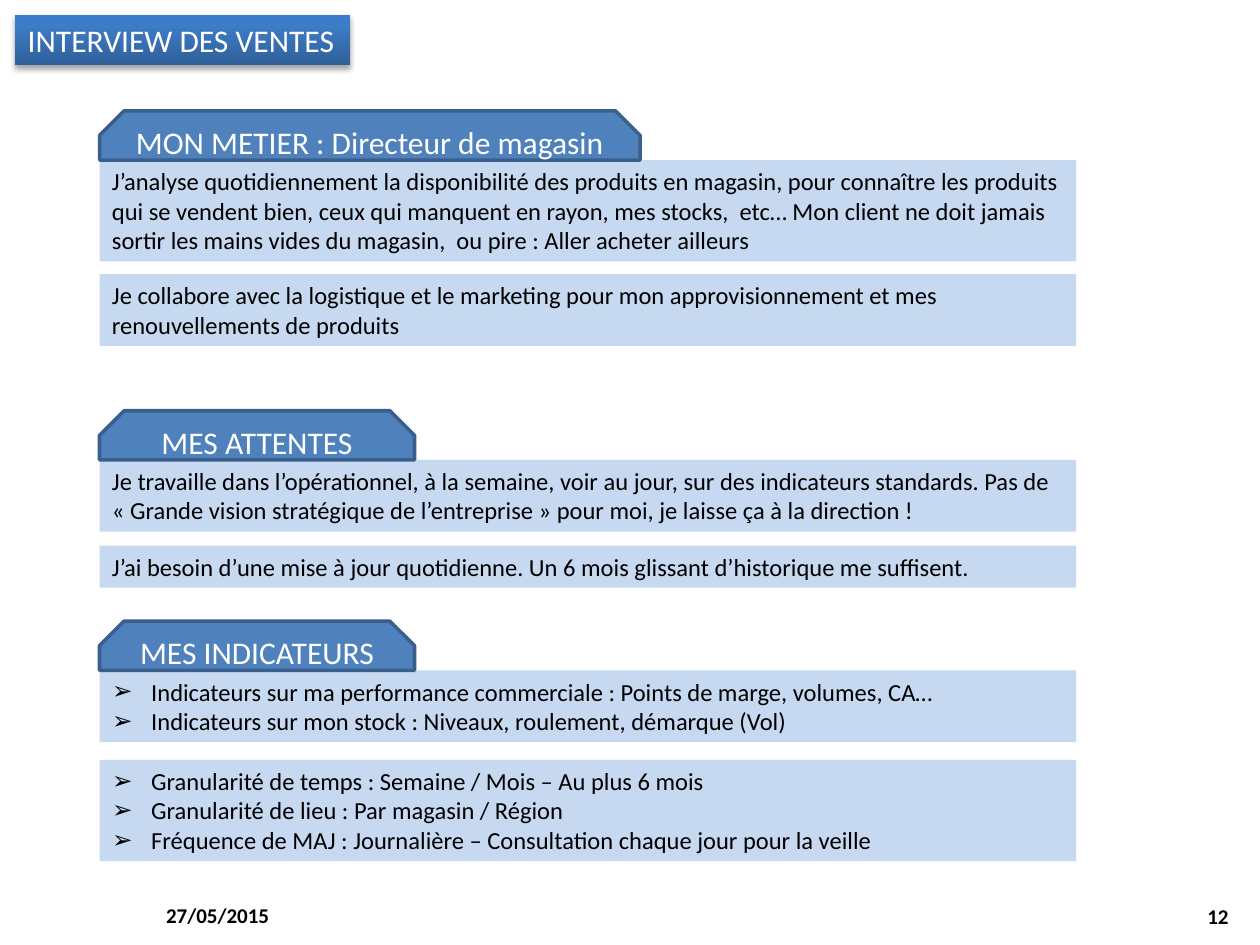
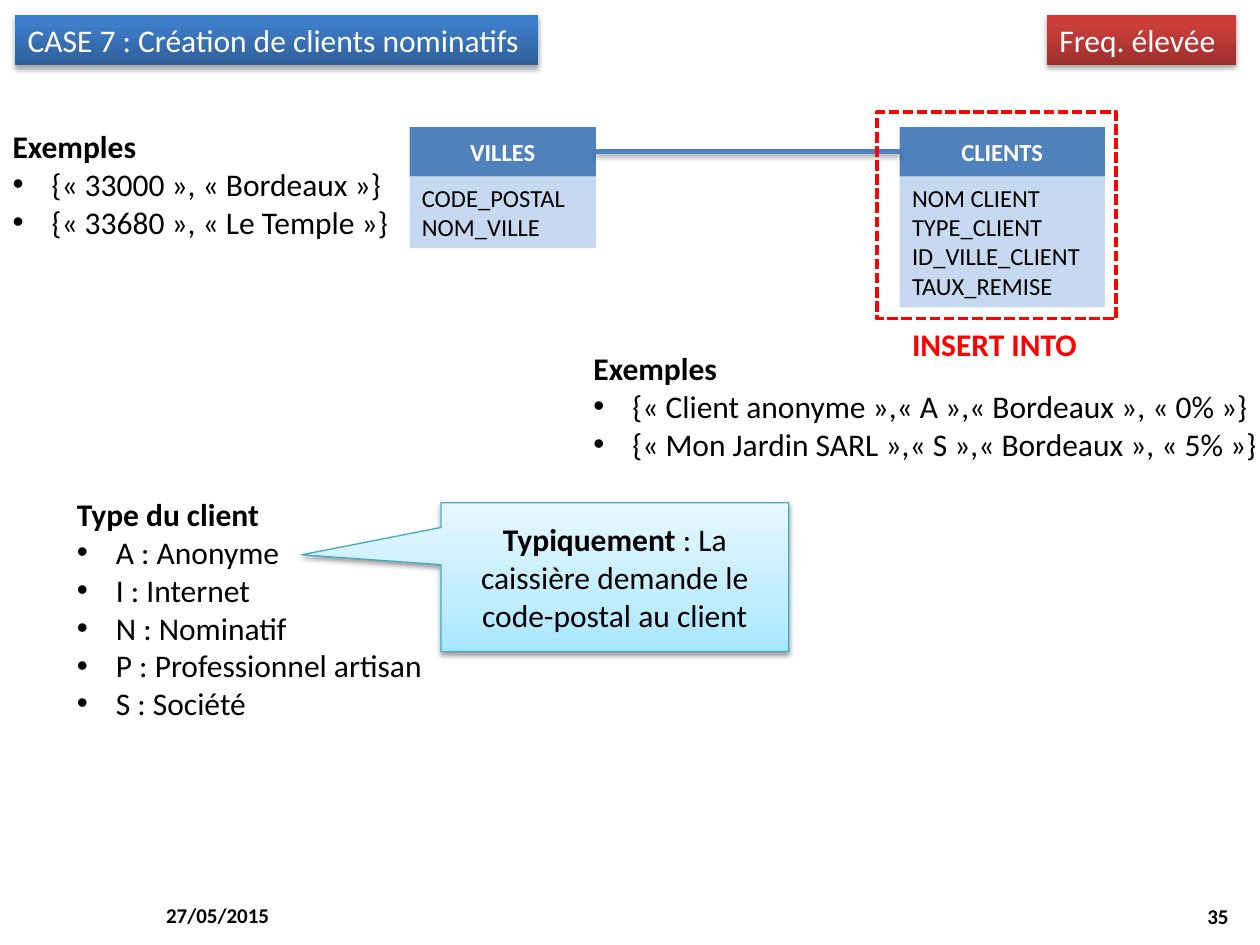
from copy import deepcopy
from lxml.etree import SubElement
from pptx import Presentation
from pptx.dml.color import RGBColor
from pptx.enum.dml import MSO_LINE
from pptx.enum.shapes import MSO_CONNECTOR, MSO_SHAPE
from pptx.enum.text import MSO_ANCHOR, MSO_AUTO_SIZE, PP_ALIGN
from pptx.oxml.ns import qn
from pptx.util import Inches, Pt

# Shared look; every length counts cells of a 100 by 75 grid
deck = Presentation()
deck.slide_width, deck.slide_height = Inches(10), Inches(7.5)
cell = deck.slide_width / 100
hue = RGBColor.from_string
FONT, BLACK, WHITE, RED = "Calibri", "000000", "FFFFFF", "FF0000"
DARK, PALE, EDGE = "4F81BD", "C6D9F1", "3A5F8C"
BLUES = [(0, "2F5F99"), (80, "3D7CC7"), (100, "3A7CCB")]
REDS = [(0, "9C2F2D"), (80, "CB3E3A"), (100, "CE3B37")]
SKIES = [(0, "A7E6FF"), (35, "C1EDFF"), (100, "E7F8FF")]
HEAD, ROW, PAD = 3.9, 2.35, 1.0
MID, LEFT, RIGHT = PP_ALIGN.CENTER, PP_ALIGN.LEFT, PP_ALIGN.RIGHT


def paint(shape, box, fill=None, line=None, width=2, shade=0):
    """Place a shape; fill is a hex colour, a list of stops or None."""
    shape.left, shape.top, shape.width, shape.height = [round(n * cell) for n in box]
    shape.shadow.inherit = False
    props = shape.element.spPr
    if isinstance(fill, list):
        shape.fill.gradient()
        shape.fill.gradient_angle = 90
        stops = props.find(qn("a:gradFill")).find(qn("a:gsLst"))
        for old in list(stops):
            stops.remove(old)
        for pos, tint in fill:
            stop = SubElement(stops, qn("a:gs"), pos=str(pos * 1000))
            SubElement(stop, qn("a:srgbClr"), val=tint)
    elif fill:
        shape.fill.solid()
        shape.fill.fore_color.rgb = hue(fill)
    else:
        shape.fill.background()
    if line:
        shape.line.color.rgb = hue(line)
        shape.line.width = Pt(width)
    else:
        shape.line.fill.background()
    if shade:
        cast = SubElement(props.find(qn("a:effectLst")), qn("a:outerShdw"),
                          blurRad=str(Pt(3.1)), dist=str(Pt(1.8)),
                          dir="5400000", rotWithShape="0")
        tone = SubElement(cast, qn("a:srgbClr"), val=BLACK)
        SubElement(tone, qn("a:alpha"), val=str(shade * 1000))
    return shape


def write(shape, lines, size=14, tint=BLACK, bold=False, mark=None,
          align=LEFT, anchor=MSO_ANCHOR.TOP, wrap=True):
    """Fill in text; a line given as a list of (text, bold) has no bullet."""
    frame = shape.text_frame
    frame.auto_size = MSO_AUTO_SIZE.NONE
    frame.word_wrap, frame.vertical_anchor = wrap, anchor
    for i, line in enumerate(lines):
        para = frame.add_paragraph() if i else frame.paragraphs[0]
        props = para._p.get_or_add_pPr()
        listed = mark and isinstance(line, str)
        dent = Inches(0.31) if listed else 0
        props.set("marL", str(dent))
        props.set("indent", str(-dent))
        if listed:
            SubElement(props, qn("a:buChar"), char=mark)
        else:
            SubElement(props, qn("a:buNone"))
        para.alignment, para.space_before = align, Pt(0)
        for text, strong in [(line, bold)] if isinstance(line, str) else line:
            run = para.add_run()
            run.text = text
            run.font.name, run.font.size, run.font.bold = FONT, Pt(size), strong
            run.font.color.rgb = hue(tint)


# Both slides: title band, date and page number
pages = []
for layout, name, span, page in [
        (3, "INTERVIEW DES VENTES", 26.6, "12"),
        (4, "CASE 7 : Création de clients nominatifs", 41.5, "35")]:
    slide = deck.slides.add_slide(deck.slide_layouts[layout])
    title = paint(slide.shapes.title, (1.2, 1.2, span, 4), BLUES, shade=35)
    write(title, [name], 18, WHITE, wrap=False)
    for x, y, text, align in [(12.2, 70.6, "27/05/2015", LEFT), (75.2, 70.7, page, RIGHT)]:
        foot = paint(slide.shapes.add_textbox(0, 0, 0, 0), (x, y, 23.3, 4))
        write(foot, [text], 12, bold=True, align=align, anchor=MSO_ANCHOR.MIDDLE)
    pages.append(slide)
talk, case = pages

# Interview: three tabs, each over two bands (top, gap, tab width)
parts = [
    (12.7, 1.0, 42.9, "MON METIER : Directeur de magasin", [
        (3, ["J’analyse quotidiennement la disponibilité des produits en magasin, pour connaître "
             "les produits qui se vendent bien, ceux qui manquent en rayon, mes stocks,  etc… "
             "Mon client ne doit jamais sortir les mains vides du magasin,  ou pire : "
             "Aller acheter ailleurs"]),
        (2, ["Je collabore avec la logistique et le marketing pour mon approvisionnement "
             "et mes renouvellements de produits"])]),
    (36.5, 1.1, 25, "MES ATTENTES", [
        (2, ["Je travaille dans l’opérationnel, à la semaine, voir au jour, sur des indicateurs "
             "standards. Pas de « Grande vision stratégique de l’entreprise » pour moi, "
             "je laisse ça à la direction !"]),
        (1, ["J’ai besoin d’une mise à jour quotidienne. Un 6 mois glissant d’historique "
             "me suffisent."])]),
    (53.2, 1.4, 25, "MES INDICATEURS", [
        (2, ["Indicateurs sur ma performance commerciale : Points de marge, volumes, CA…",
             "Indicateurs sur mon stock : Niveaux, roulement, démarque (Vol)"]),
        (3, ["Granularité de temps : Semaine / Mois – Au plus 6 mois",
             "Granularité de lieu : Par magasin / Région",
             "Fréquence de MAJ : Journalière – Consultation chaque jour pour la veille"])]),
]
lists = [talk.placeholders[1], talk.placeholders[2]]
for top, gap, span, name, bands in parts:
    y = top
    for rows, lines in bands:
        many = len(lines) > 1
        band = lists.pop(0) if many else talk.shapes.add_shape(MSO_SHAPE.RECTANGLE, 0, 0, 0, 0)
        tall = PAD + rows * ROW
        write(paint(band, (7.9, y, 77.5, tall), PALE), lines, mark="➢" if many else None)
        y += tall + gap
    tab = talk.shapes.add_shape(MSO_SHAPE.SNIP_2_SAME_RECTANGLE, 0, 0, 0, 0)
    tab.adjustments[0], tab.adjustments[1] = 0.5, 0
    paint(tab, (7.9, top - HEAD, span, HEAD), DARK, EDGE)
    write(tab, [name], 18, WHITE, align=MID, anchor=MSO_ANCHOR.MIDDLE)

# Case: frequency badge
badge = case.shapes.add_shape(MSO_SHAPE.RECTANGLE, 0, 0, 0, 0)
write(paint(badge, (83.1, 1.2, 15, 4), REDS, shade=35), ["Freq. élevée"], 18, WHITE)

# Entities and the link between them
heads = []
for x, span, name, fields in [
        (32.5, 14.8, "VILLES", ["CODE_POSTAL", "NOM_VILLE"]),
        (71.4, 16.3, "CLIENTS",
         ["NOM CLIENT", "TYPE_CLIENT", "ID_VILLE_CLIENT", "TAUX_REMISE"])]:
    body, head = [case.shapes.add_shape(MSO_SHAPE.RECTANGLE, 0, 0, 0, 0) for _ in range(2)]
    write(paint(body, (x, 10.1 + HEAD, span, PAD + len(fields) * ROW), PALE), fields)
    paint(head, (x, 10.1, span, HEAD), DARK)
    write(head, [name], 14, WHITE, True, align=MID, anchor=MSO_ANCHOR.MIDDLE)
    heads.append(head)
link = case.shapes.add_connector(MSO_CONNECTOR.STRAIGHT, 0, 0, 0, 0)
link.begin_connect(heads[0], 3)
link.end_connect(heads[1], 1)
link.line.color.rgb, link.line.width = hue(DARK), Pt(3)
link.element.spPr.append(deepcopy(case.shapes.title.element.spPr.find(qn("a:effectLst"))))

# Insert frame and its label
frame = case.shapes.add_shape(MSO_SHAPE.RECTANGLE, 0, 0, 0, 0)
paint(frame, (69.6, 8.9, 19, 16.4), line=RED)
frame.line.dash_style = MSO_LINE.SQUARE_DOT
label = paint(case.shapes.add_textbox(0, 0, 0, 0), (71.4, 25.3, 15.2, 4))
write(label, ["INSERT INTO"], 18, RED, True, wrap=False)

# Bulleted lists
notes = [
    ((0, 9.6, 32.5, 10.1), "Exemples",
     ["{« 33000 », « Bordeaux »}", "{« 33680 », « Le Temple »}"]),
    ((46.1, 27.2, 55.6, 10.1), "Exemples",
     ["{« Client anonyme »,« A »,« Bordeaux », « 0% »}",
      "{« Mon Jardin SARL »,« S »,« Bordeaux », « 5% »}"]),
    ((5.1, 38.8, 32.4, 19.2), "Type du client",
     ["A : Anonyme", "I : Internet", "N : Nominatif", "P : Professionnel artisan", "S : Société"]),
]
for key, (box, name, lines) in enumerate(notes, 1):
    note = paint(case.placeholders[key], box)
    write(note, [[(name, True)]] + lines, 18, mark="•", wrap=False)
spare = case.placeholders[4].element
spare.getparent().remove(spare)

# Callout on the anonymous client
call = case.shapes.add_shape(MSO_SHAPE.RECTANGULAR_CALLOUT, 0, 0, 0, 0)
call.adjustments[0], call.adjustments[1] = -0.9, -0.15
paint(call, (35, 39.9, 27.6, 11.8), SKIES, "46AAC5", 0.75, shade=38)
write(call, [[("Typiquement", True), (" : La caissière demande le code-postal au client", False)]],
      18, align=MID, anchor=MSO_ANCHOR.MIDDLE)

deck.save("out.pptx")
